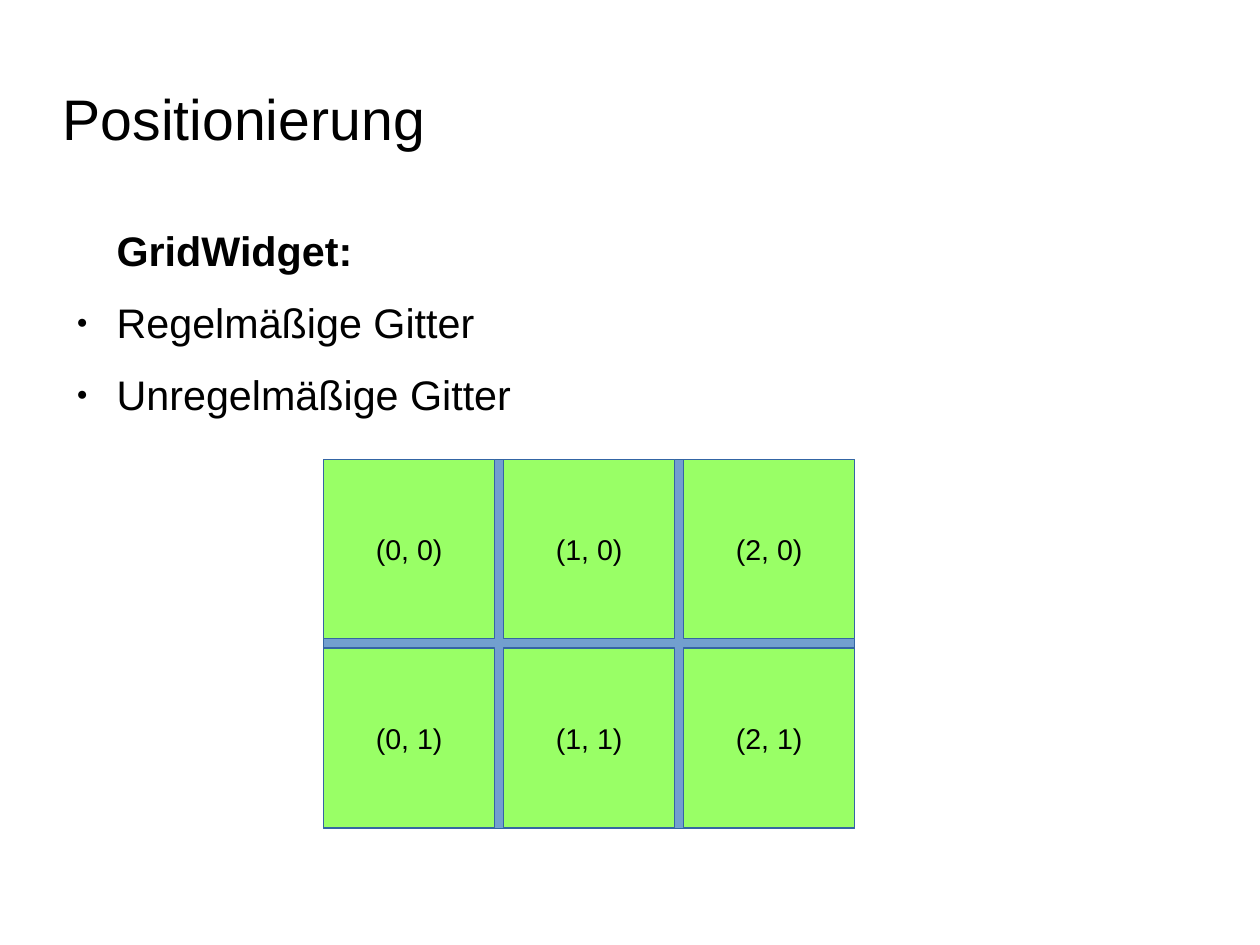
import pptx
import pptx.util
from lxml import etree
from pptx.dml.color import RGBColor
from pptx.enum.shapes import MSO_SHAPE
from pptx.enum.text import MSO_ANCHOR, PP_ALIGN
from pptx.oxml.ns import qn
from pptx.util import Inches

COLORS = {
    "text": "000000",
    "gap": "729FCF",
    "cell": "99FF66",
    "outline": "3465A4",
}
FONT = "Arial"
CM_PER_INCH = 2.54
COLUMNS, ROWS = 3, 2
GRID_LEFT, GRID_TOP = 2.83, 4.02
GRID_WIDTH, GRID_HEIGHT = 4.65, 3.23
CELL_WIDTH, CELL_HEIGHT = 1.5, 1.57
COLUMN_STEP = (GRID_WIDTH - CELL_WIDTH) / (COLUMNS - 1)
ROW_STEP = 1.65


def color(name):
    return RGBColor.from_string(COLORS[name])


def style_font(paragraph, size, bold=False):
    paragraph.font.name = FONT
    paragraph.font.size = pptx.util.Pt(size)
    paragraph.font.bold = bold
    paragraph.font.color.rgb = color("text")


def indent(paragraph, left, first_line):
    properties = paragraph._p.get_or_add_pPr()
    properties.set("marL", str(Inches(left)))
    properties.set("indent", str(Inches(first_line)))
    return properties


def add_bullet(properties):
    bullet_color = etree.SubElement(properties, qn("a:buClr"))
    etree.SubElement(bullet_color, qn("a:srgbClr"), val=COLORS["text"])
    etree.SubElement(properties, qn("a:buSzPct"), val="45000")
    etree.SubElement(properties, qn("a:buFont"), typeface=FONT)
    etree.SubElement(properties, qn("a:buChar"), char="●")


def add_text_frame(page, left, top, width, height, anchor):
    box = page.shapes.add_textbox(
        Inches(left), Inches(top), Inches(width), Inches(height)
    )
    frame = box.text_frame
    frame.word_wrap = True
    frame.vertical_anchor = anchor
    frame.margin_left = frame.margin_right = 0
    frame.margin_top = frame.margin_bottom = 0
    return frame


def add_title(page, text):
    frame = add_text_frame(page, 0.55, 0.63, 7.87, 0.79, MSO_ANCHOR.MIDDLE)
    para = frame.paragraphs[0]
    para.text = text
    style_font(para, 36)


def add_body(page, heading, items):
    frame = add_text_frame(page, 0.55, 1.97, 9.92, 1.97, MSO_ANCHOR.TOP)
    for index, text in enumerate([heading, *items]):
        is_heading = index == 0
        para = frame.paragraphs[0] if is_heading else frame.add_paragraph()
        para.text = text
        para.space_after = pptx.util.Pt(14.2)
        properties = indent(para, 0.47, 0 if is_heading else -0.35)
        if not is_heading:
            add_bullet(properties)
        style_font(para, 26, bold=is_heading)


def add_rectangle(page, left, top, width, height, fill):
    box = page.shapes.add_shape(
        MSO_SHAPE.RECTANGLE, Inches(left), Inches(top), Inches(width), Inches(height)
    )
    box.shadow.inherit = False
    box.fill.solid()
    box.fill.fore_color.rgb = color(fill)
    box.line.color.rgb = color("outline")
    box.line.width = pptx.util.Pt(0)
    return box


def add_cell(page, column, row):
    box = add_rectangle(
        page,
        GRID_LEFT + column * COLUMN_STEP,
        GRID_TOP + row * ROW_STEP,
        CELL_WIDTH,
        CELL_HEIGHT,
        "cell",
    )
    frame = box.text_frame
    frame.word_wrap = False
    frame.vertical_anchor = MSO_ANCHOR.MIDDLE
    para = frame.paragraphs[0]
    para.text = f"({column}, {row})"
    para.alignment = PP_ALIGN.CENTER
    style_font(para, 18)


def add_grid(page):
    add_rectangle(page, GRID_LEFT, GRID_TOP, GRID_WIDTH, GRID_HEIGHT, "gap")
    for row in range(ROWS):
        for column in range(COLUMNS):
            add_cell(page, column, row)


def main():
    deck = pptx.Presentation()
    deck.slide_width = Inches(28 / CM_PER_INCH)
    deck.slide_height = Inches(21 / CM_PER_INCH)
    page = deck.slides.add_slide(deck.slide_layouts[6])
    add_title(page, "Positionierung")
    add_body(page, "GridWidget:", ["Regelmäßige Gitter", "Unregelmäßige Gitter"])
    add_grid(page)
    deck.save("out.pptx")


if __name__ == "__main__":
    main()
